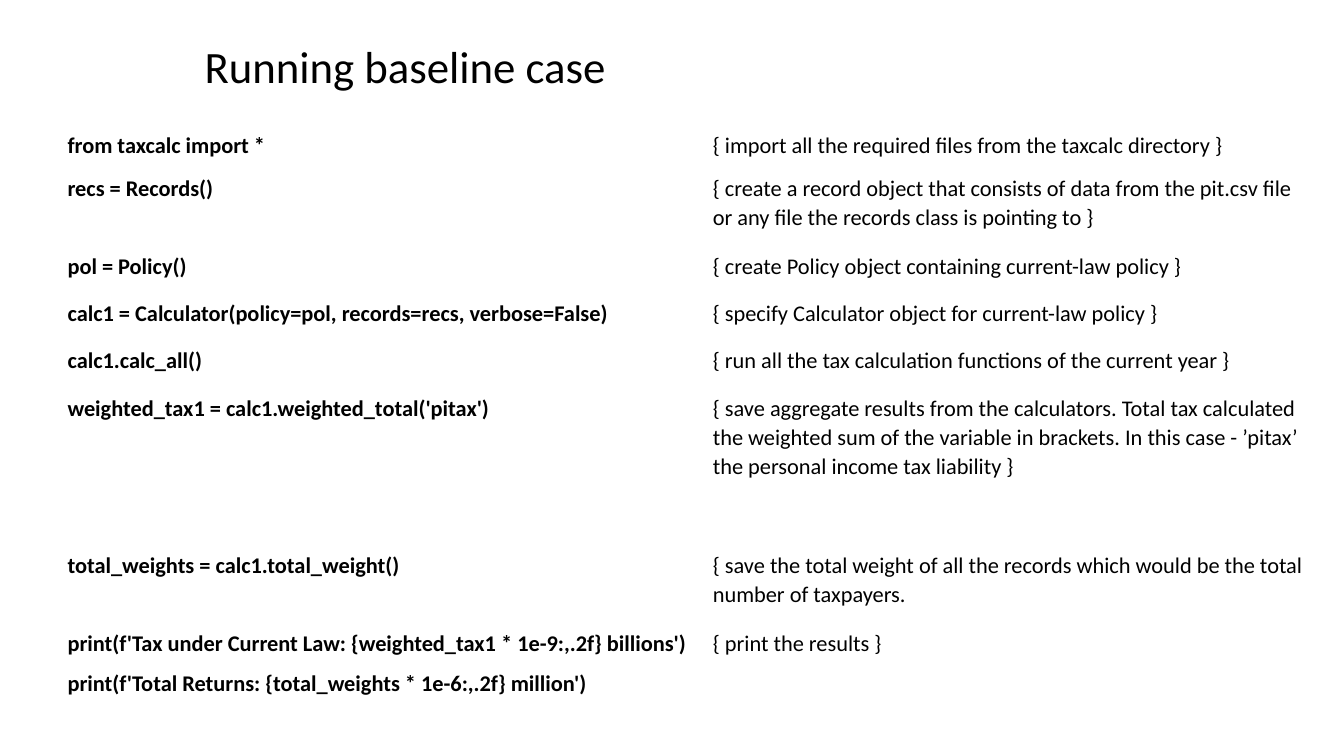
"""Build a slide that walks through the code of a baseline tax run."""
from typing import NamedTuple

from lxml.etree import SubElement
from pptx import Presentation
from pptx.dml.color import RGBColor as Rgb
from pptx.enum.text import MSO_ANCHOR as Anchor
from pptx.oxml.ns import qn
from pptx.util import Pt

EMU_PER_PX = 9144
FONT = "Calibri"
COLOURS = {"text": "000000", "paper": "FFFFFF"}


class Step(NamedTuple):
    height: int
    code: tuple[str, ...]
    note: str


STEPS = [
    Step(43, ("from taxcalc import *",),
         "{ import all the required files from the taxcalc directory }"),
    Step(77, ("recs = Records()",),
         "{ create a record object that consists of data from the pit.csv file "
         "or any file the records class is pointing to }"),
    Step(47, ("pol = Policy()",),
         "{ create Policy object containing current-law policy }"),
    Step(47, ("calc1 = Calculator(policy=pol, records=recs, verbose=False)",),
         "{ specify Calculator object for current-law policy }"),
    Step(47, ("calc1.calc_all()",),
         "{ run all the tax calculation functions of the current year }"),
    Step(156, ("weighted_tax1 = calc1.weighted_total('pitax')",),
         "{ save aggregate results from the calculators. Total tax calculated "
         "the weighted sum of the variable in brackets. In this case - ’pitax’ "
         "the personal income tax liability }"),
    Step(77, ("total_weights = calc1.total_weight()",),
         "{ save the total weight of all the records which would be the total "
         "number of taxpayers."),
    Step(123, ("print(f'Tax under Current Law: {weighted_tax1 * 1e-9:,.2f} billions')",
               "print(f'Total Returns: {total_weights * 1e-6:,.2f} million')"),
         "{ print the results }"),
]
COLUMN_WIDTHS = (640, 610)


def px(length: int) -> int:
    return length * EMU_PER_PX


def write(frame, *lines: str, size: int = 16, bold: bool = False,
          spacing: float = 1.07, after: int = 8) -> None:
    for index, line in enumerate(lines):
        paragraph = frame.add_paragraph() if index else frame.paragraphs[0]
        paragraph.line_spacing = spacing
        paragraph.space_after = Pt(after)
        run = paragraph.add_run()
        run.text = line
        run.font.name = FONT
        run.font.size = Pt(size)
        run.font.bold = bold
        run.font.color.rgb = Rgb.from_string(COLOURS["text"])


def style_cell(cell) -> None:
    properties = cell._tc.get_or_add_tcPr()
    for side in ("a:lnL", "a:lnR", "a:lnT", "a:lnB"):
        border = SubElement(properties, qn(side), w=str(Pt(1)))
        paint = SubElement(border, qn("a:solidFill"))
        SubElement(paint, qn("a:srgbClr"), val=COLOURS["paper"])
    cell.fill.solid()
    cell.fill.fore_color.rgb = Rgb.from_string(COLOURS["paper"])


def add_title(slide, text: str) -> None:
    heading = slide.shapes.add_textbox(px(193), px(24), px(975), px(89)).text_frame
    heading.word_wrap = True
    heading.vertical_anchor = Anchor.MIDDLE
    write(heading, text, size=32, spacing=0.9, after=0)


def add_steps(slide, steps: list[Step]) -> None:
    walkthrough = slide.shapes.add_table(
        len(steps), len(COLUMN_WIDTHS), px(57), px(124),
        px(sum(COLUMN_WIDTHS)), px(sum(step.height for step in steps))).table
    for column, width in zip(walkthrough.columns, COLUMN_WIDTHS):
        column.width = px(width)
    for row, step in zip(walkthrough.rows, steps):
        row.height = px(step.height)
        code_cell, note_cell = row.cells
        write(code_cell.text_frame, *step.code, bold=True)
        write(note_cell.text_frame, step.note)
        for cell in row.cells:
            style_cell(cell)


def main() -> None:
    deck = Presentation()
    deck.slide_width, deck.slide_height = px(1333), px(750)
    slide = deck.slides.add_slide(deck.slide_layouts[6])
    add_title(slide, "Running baseline case")
    add_steps(slide, STEPS)
    deck.save("out.pptx")


if __name__ == "__main__":
    main()
